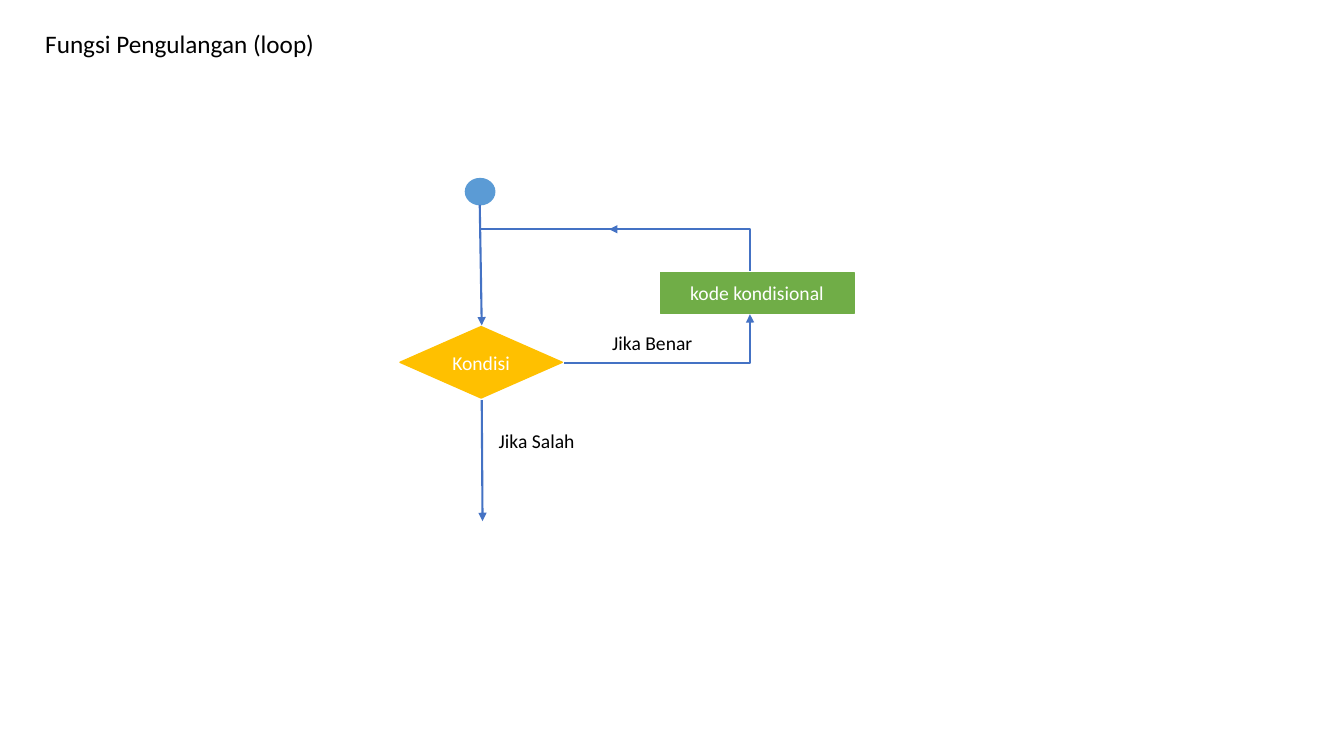
from lxml.etree import SubElement
from pptx import Presentation
from pptx.dml.color import RGBColor
from pptx.enum.shapes import MSO_CONNECTOR as CONN, MSO_SHAPE as SHAPE
from pptx.enum.text import MSO_ANCHOR as ANCHOR, MSO_AUTO_SIZE as AUTO, PP_ALIGN as ALIGN
from pptx.oxml.ns import qn
from pptx.util import Cm, Pt

BLUE = RGBColor(0x5B, 0x9B, 0xD5)
LINE = RGBColor(0x44, 0x72, 0xC4)
GOLD = RGBColor(0xFF, 0xC0, 0x00)
GREEN = RGBColor(0x70, 0xAD, 0x47)
WHITE = RGBColor(0xFF, 0xFF, 0xFF)
BLACK = RGBColor(0x00, 0x00, 0x00)


def set_text(sp, text, size, color, align, anchor):
    """Write one formatted paragraph into a shape."""
    tf = sp.text_frame
    tf.text = text
    tf.auto_size = AUTO.NONE
    tf.vertical_anchor = anchor
    tf.margin_left = tf.margin_right = Cm(0.25)
    tf.margin_top = tf.margin_bottom = Cm(0.13)
    p = tf.paragraphs[0]
    p.alignment = align
    p.font.name, p.font.size, p.font.color.rgb = "Calibri", Pt(size), color


def add_line(kind, ends, arrow=True):
    """Draw a blue connector, with an arrowhead at its end if wanted."""
    cx = s.shapes.add_connector(kind, *map(Cm, ends))
    cx.line.color.rgb, cx.line.width = LINE, Pt(1.5)
    if arrow:
        SubElement(cx.line._get_or_add_ln(), qn("a:tailEnd"), type="triangle")
    SubElement(cx._element.spPr, qn("a:effectLst"))
    return cx


prs = Presentation()
prs.slide_width, prs.slide_height = Cm(33.87), Cm(19.05)
s = prs.slides.add_slide(prs.slide_layouts[5])

title = s.shapes.title
title.left, title.top, title.width, title.height = map(Cm, (0.89, 0.58, 7.37, 1.02))
set_text(title, "Fungsi Pengulangan (loop)", 18, BLACK, ALIGN.LEFT, ANCHOR.TOP)
title.text_frame.word_wrap = False

# Flowchart nodes
for kind, box, color, text in (
    (SHAPE.OVAL, (11.73, 4.5, 0.74, 0.66), BLUE, ""),
    (SHAPE.DIAMOND, (10.08, 8.23, 4.09, 1.8), GOLD, "Kondisi"),
    (SHAPE.RECTANGLE, (16.64, 6.86, 4.88, 1.04), GREEN, "kode kondisional"),
):
    sp = s.shapes.add_shape(kind, *map(Cm, box))
    sp.shadow.inherit = False
    sp.fill.solid()
    sp.fill.fore_color.rgb = sp.line.color.rgb = color
    sp.line.width = Pt(1)
    if text:
        set_text(sp, text, 14, WHITE, ALIGN.CENTER, ANCHOR.MIDDLE)

# Branch labels
for text, box in (
    ("Jika Salah", (12.14, 10.67, 2.77, 0.86)),
    ("Jika Benar", (14.94, 8.2, 3, 0.84)),
):
    sp = s.shapes.add_textbox(*map(Cm, box))
    set_text(sp, text, 14, BLACK, ALIGN.CENTER, ANCHOR.TOP)
    sp.text_frame.word_wrap = True

# Straight flow: start to condition, condition to exit, return to start
add_line(CONN.STRAIGHT, (12.09, 5.16, 12.14, 8.2))
add_line(CONN.STRAIGHT, (12.14, 10.08, 12.16, 13.13))
add_line(CONN.STRAIGHT, (12.12, 5.77, 15.42, 5.77), arrow=False)

# True branch: right along the condition, then up to the code
true_branch = add_line(CONN.ELBOW, (14.22, 9.14, 18.9, 7.92))
guides = true_branch._element.spPr.prstGeom.get_or_add_avLst()
SubElement(guides, qn("a:gd"), name="adj1", fmla="val 100100")

# Loop back: a single bend, turned to run up and then left
loop_back = add_line(CONN.ELBOW, (16.61, 8.08, 17.65, 4.52))
loop_back._element.spPr.prstGeom.set("prst", "bentConnector2")
loop_back._element.spPr.xfrm.set("rot", "16200000")

prs.save("out.pptx")
